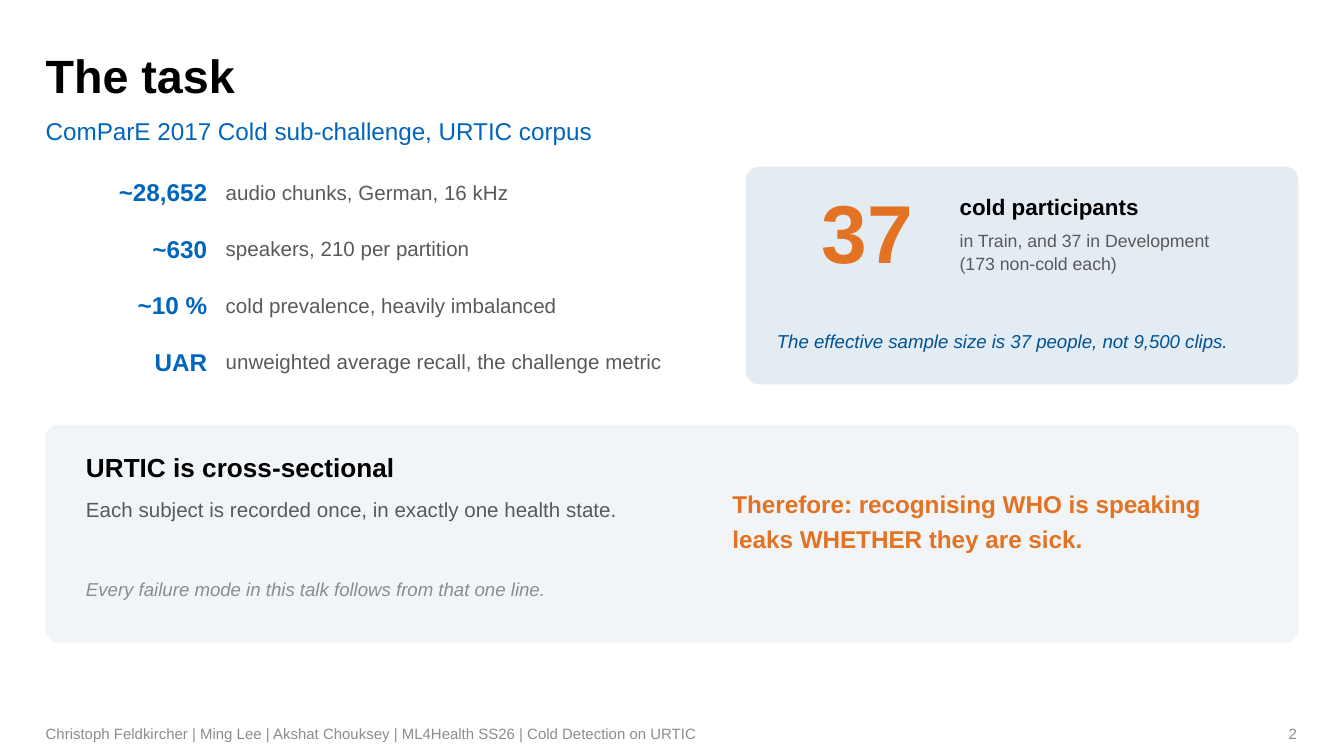
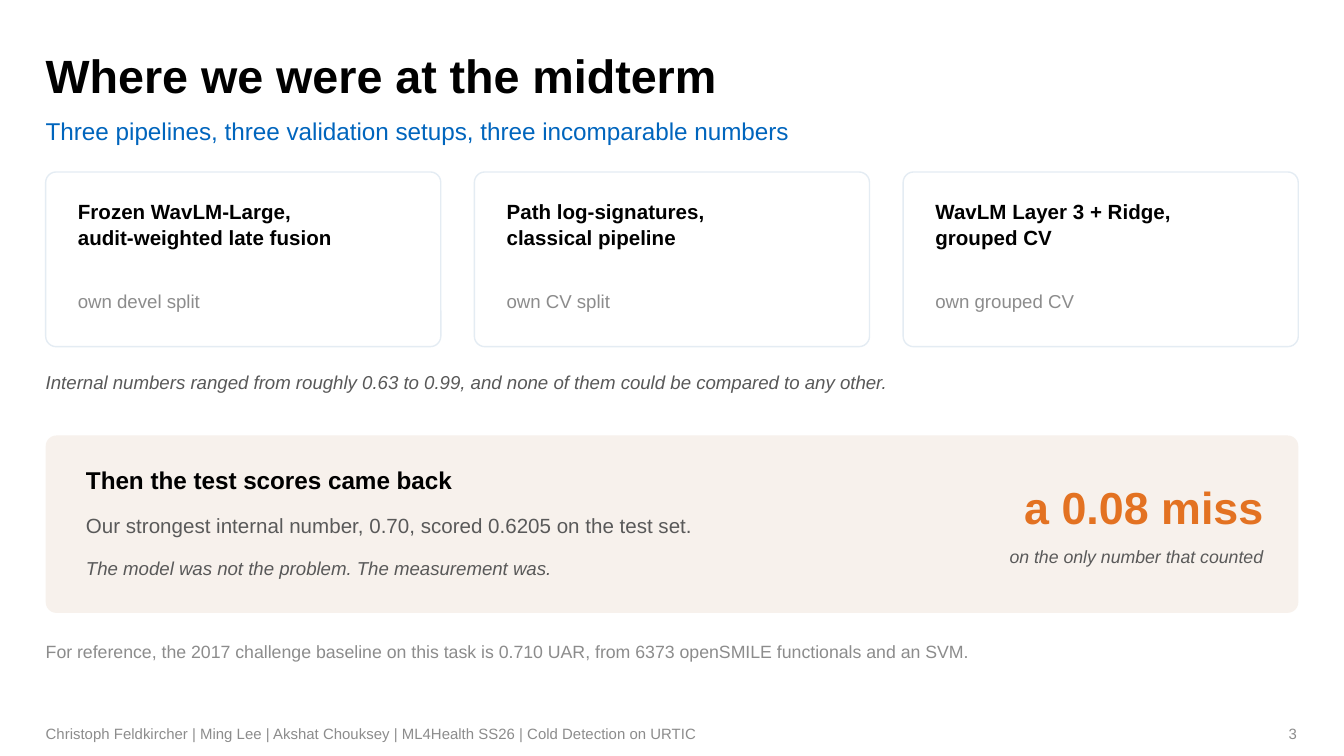
from dataclasses import dataclass

from lxml.etree import SubElement
from pptx import Presentation
from pptx.dml.color import RGBColor
from pptx.enum.shapes import MSO_SHAPE
from pptx.enum.text import MSO_ANCHOR, MSO_AUTO_SIZE, PP_ALIGN
from pptx.oxml.ns import qn
from pptx.util import Inches, Pt


@dataclass(frozen=True)
class Theme:
    font: str = "Arial"
    # Colours
    black: str = "000000"
    white: str = "FFFFFF"
    grey: str = "595959"
    pale_grey: str = "8C8C8C"
    blue: str = "0065BD"
    deep_blue: str = "005293"
    orange: str = "E37222"
    ice: str = "E4ECF3"
    mist: str = "F2F5F8"
    sand: str = "F7F1EC"
    # Type sizes in points
    figure: float = 44
    title: float = 25
    result: float = 24
    heading: float = 14
    lead: float = 13
    label: float = 12
    body: float = 11
    note: float = 10
    small: float = 9.5
    footer: float = 8


THEME = Theme()
COLUMNS, ROWS = 100, 56.25
LEFT, CONTENT = 3.4, 93.2
INDENT = LEFT + 3
FOOTER = ("Christoph Feldkircher | Ming Lee | Akshat Chouksey | "
          "ML4Health SS26 | Cold Detection on URTIC")


def set_all(target, values):
    for name, value in values.items():
        setattr(target, name, value)


class Deck:
    """Holds the theme, the grid and the slide being filled."""

    def __init__(self, theme):
        self.theme = theme
        self.file = Presentation()
        set_all(self.file, {"slide_width": Inches(10), "slide_height": Inches(5.625)})
        self.column = self.file.slide_width / COLUMNS
        self.row = self.file.slide_height / ROWS
        self.slide = None

    def place(self, at):
        left, top, width, height = at
        return (round(left * self.column), round(top * self.row),
                round(width * self.column), round(height * self.row))

    def new_slide(self, title, subtitle, number):
        t = self.theme
        self.slide = self.file.slides.add_slide(self.file.slide_layouts[1])
        heading, lead = self.slide.placeholders
        for holder, at in ((heading, (LEFT, 3.2, 93.1, 4.2)),
                           (lead, (LEFT, 7.5, 93.1, 3.5))):
            set_all(holder, dict(zip(("left", "top", "width", "height"), self.place(at))))
        self.fill_text(heading, title, t.title, t.black, bold=True, line_spacing=Pt(32))
        self.fill_text(lead, subtitle, t.lead, t.blue, line_spacing=Pt(18), plain=True)
        set_all(lead.text_frame, {"margin_top": Pt(6), "auto_size": MSO_AUTO_SIZE.NONE})
        # Footer and slide number
        self.text(FOOTER, (LEFT, 53.1, 70.7, 3), t.footer, t.pale_grey, middle=True)
        self.text(str(number), (74.1, 53.1, 22.4, 3), t.footer, t.pale_grey,
                  align=PP_ALIGN.RIGHT, middle=True)

    def fill_text(self, holder, content, size, colour, bold=False, italic=False,
                  align=PP_ALIGN.LEFT, middle=False, after=0, line_spacing=None,
                  plain=False):
        frame = holder.text_frame
        set_all(frame, {
            "margin_left": 0, "margin_right": 0, "margin_top": 0, "margin_bottom": 0,
            "word_wrap": True, "auto_size": MSO_AUTO_SIZE.SHAPE_TO_FIT_TEXT,
            "vertical_anchor": MSO_ANCHOR.MIDDLE if middle else MSO_ANCHOR.TOP})
        for index, line in enumerate(content.split("\n")):
            paragraph = frame.add_paragraph() if index else frame.paragraphs[0]
            set_all(paragraph, {"alignment": align, "space_before": Pt(0),
                                "space_after": Pt(after), "line_spacing": line_spacing})
            if plain:  # no bullet, no hanging indent
                properties = paragraph._p.get_or_add_pPr()
                properties.set("marL", "0")
                properties.set("indent", "0")
                SubElement(properties, qn("a:buNone"))
            run = paragraph.add_run()
            run.text = line
            set_all(run.font, {"name": self.theme.font, "size": Pt(size),
                               "bold": bold, "italic": italic})
            run.font.color.rgb = RGBColor.from_string(colour)

    def text(self, content, at, size, colour, **style):
        self.fill_text(self.slide.shapes.add_textbox(*self.place(at)),
                       content, size, colour, **style)

    def panel(self, at, fill, outline=None):
        panel = self.slide.shapes.add_shape(MSO_SHAPE.ROUNDED_RECTANGLE, *self.place(at))
        panel.adjustments[0] = 0.06
        panel.shadow.inherit = False
        panel.fill.solid()
        panel.fill.fore_color.rgb = RGBColor.from_string(fill)
        if outline:
            panel.line.color.rgb = RGBColor.from_string(outline)
            panel.line.width = Pt(0.75)
        else:
            panel.line.fill.background()


def task_slide(deck):
    t = deck.theme
    deck.new_slide("The task", "ComParE 2017 Cold sub-challenge, URTIC corpus", 2)

    # Corpus facts
    facts = [("~28,652", "audio chunks, German, 16 kHz"),
             ("~630", "speakers, 210 per partition"),
             ("~10 %", "cold prevalence, heavily imbalanced"),
             ("UAR", "unweighted average recall, the challenge metric")]
    for index, (amount, meaning) in enumerate(facts):
        top = 13 + 4.2 * index
        deck.text(amount, (LEFT, top, 12, 2.6), t.lead, t.blue, bold=True,
                  align=PP_ALIGN.RIGHT, middle=True)
        deck.text(meaning, (16.8, top, 36, 2.6), t.body, t.grey, middle=True)

    # Effective sample size
    deck.panel((55.5, 12.4, 41.1, 16.2), t.ice)
    deck.text("37", (57.8, 13.2, 13.5, 8), t.figure, t.orange, bold=True,
              align=PP_ALIGN.CENTER, middle=True)
    deck.text("cold participants", (71.4, 14.4, 23, 2.4), t.label, t.black, bold=True)
    deck.text("in Train, and 37 in Development\n(173 non-cold each)",
              (71.4, 17.1, 23, 4.2), t.small, t.grey, after=1)
    deck.text("The effective sample size is 37 people, not 9,500 clips.",
              (57.8, 23.4, 36.5, 4), t.note, t.deep_blue, italic=True, middle=True)

    # Consequence of the study design
    deck.panel((LEFT, 31.6, CONTENT, 16.2), t.mist)
    deck.text("URTIC is cross-sectional", (INDENT, 33.6, 46, 2.6),
              t.heading, t.black, bold=True)
    deck.text("Each subject is recorded once, in exactly one health state.",
              (INDENT, 37, 47, 4.4), t.body, t.grey)
    deck.text("Every failure mode in this talk follows from that one line.",
              (INDENT, 43, 52, 3), t.note, t.pale_grey, italic=True)
    deck.text("Therefore: recognising WHO is speaking\nleaks WHETHER they are sick.",
              (54.5, 35.2, 40, 7.2), t.lead, t.orange, bold=True, middle=True, after=3)


def midterm_slide(deck):
    t = deck.theme
    deck.new_slide("Where we were at the midterm",
                   "Three pipelines, three validation setups, three incomparable numbers", 3)

    # Pipeline cards
    pipelines = [("Frozen WavLM-Large,\naudit-weighted late fusion", "own devel split"),
                 ("Path log-signatures,\nclassical pipeline", "own CV split"),
                 ("WavLM Layer 3 + Ridge,\ngrouped CV", "own grouped CV")]
    gap = 2.5
    width = (CONTENT - gap * (len(pipelines) - 1)) / len(pipelines)
    for index, (pipeline, validation) in enumerate(pipelines):
        left = LEFT + index * (width + gap)
        deck.panel((left, 12.8, width, 13), t.white, t.ice)
        deck.text(pipeline, (left + 2.4, 14.8, 25, 5), t.body, t.black, bold=True, after=1)
        deck.text(validation, (left + 2.4, 21.6, 25, 2.4), t.note, t.pale_grey)
    deck.text("Internal numbers ranged from roughly 0.63 to 0.99, "
              "and none of them could be compared to any other.",
              (LEFT, 27.6, CONTENT, 3), t.note, t.grey, italic=True)

    # Test result
    deck.panel((LEFT, 32.4, CONTENT, 13.2), t.sand)
    deck.text("Then the test scores came back", (INDENT, 34.6, 54, 2.6),
              t.lead, t.black, bold=True)
    deck.text("Our strongest internal number, 0.70, scored 0.6205 on the test set.",
              (INDENT, 38.2, 55, 2.6), t.body, t.grey)
    deck.text("The model was not the problem. The measurement was.",
              (INDENT, 41.4, 55, 2.4), t.note, t.grey, italic=True)
    deck.text("a 0.08 miss", (63, 35.2, 31, 5), t.result, t.orange, bold=True,
              align=PP_ALIGN.RIGHT, middle=True)
    deck.text("on the only number that counted", (63, 40.6, 31, 2.4), t.small, t.grey,
              italic=True, align=PP_ALIGN.RIGHT)

    # Baseline
    deck.text("For reference, the 2017 challenge baseline on this task is 0.710 UAR, "
              "from 6373 openSMILE functionals and an SVM.",
              (LEFT, 47.2, CONTENT, 2.6), t.small, t.pale_grey, middle=True)


def main():
    deck = Deck(THEME)
    task_slide(deck)
    midterm_slide(deck)
    deck.file.save("out.pptx")


if __name__ == "__main__":
    main()
